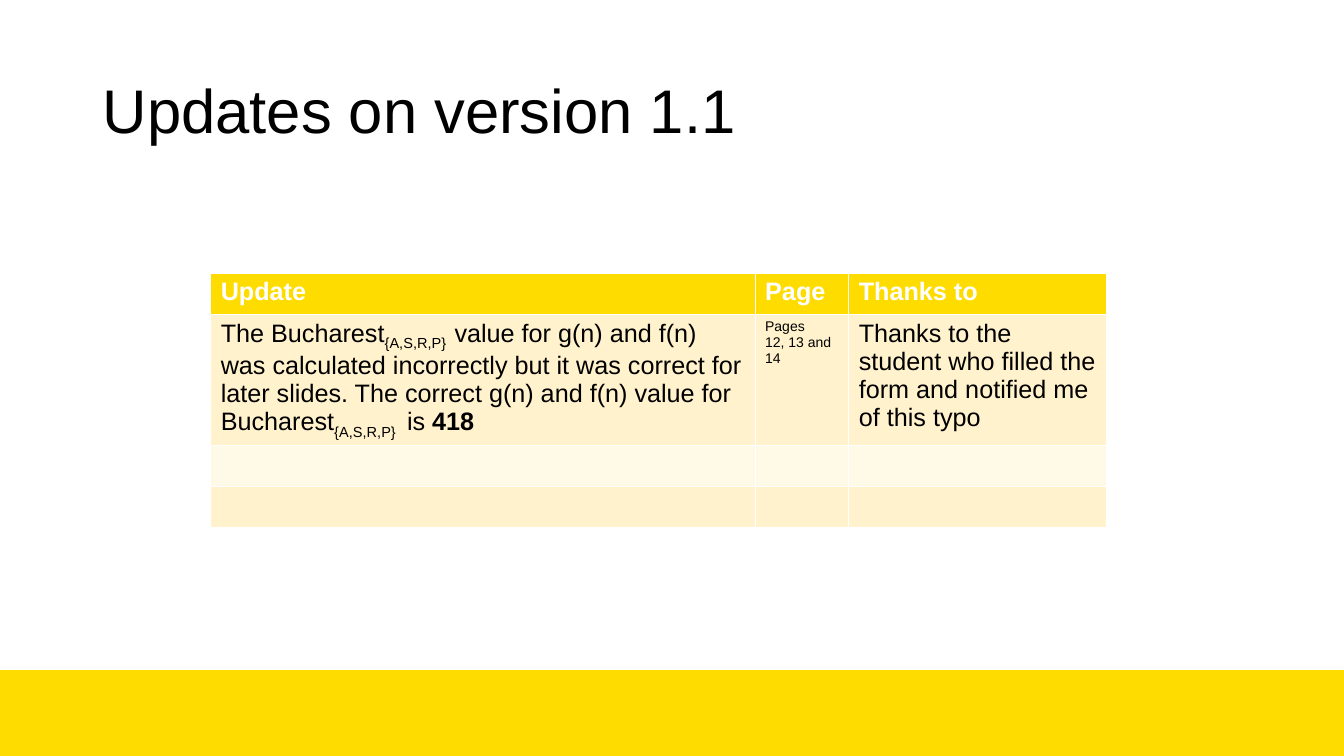
"""Build the slide that lists the updates of version 1.1."""
from dataclasses import dataclass

from pptx import Presentation
from pptx.dml.color import RGBColor
from pptx.enum.shapes import MSO_SHAPE
from pptx.enum.text import MSO_ANCHOR
from pptx.util import Cm, Pt

RECT = MSO_SHAPE.RECTANGLE
MIDDLE = MSO_ANCHOR.MIDDLE
PLAIN, SUB, BOLD, BREAK = range(4)

TITLE = "Updates on version 1.1"
HEADS = ["Update", "Page", "Thanks to"]
UPDATE = [
    ("The Bucharest", PLAIN),
    ("{A,S,R,P}  ", SUB),
    ("value for g(n) and f(n) was calculated incorrectly but it was correct "
     "for later slides. The correct g(n) and f(n) value for Bucharest", PLAIN),
    ("{A,S,R,P} ", SUB),
    (" is ", PLAIN),
    ("418", BOLD),
]
PAGES = [("Pages ", PLAIN), ("", BREAK), ("12, 13 and 14", PLAIN)]
THANKS = [("Thanks to the student who filled the form and notified me of this typo",
           PLAIN)]
ROWS = [
    [[(head, BOLD)] for head in HEADS],
    [UPDATE, PAGES, THANKS],
    [[], [], []],
    [[], [], []],
]
WIDTHS = [13.72, 2.36, 6.5]
HEIGHTS = [1.04, 3.28, 1.04, 1.04]


@dataclass(frozen=True)
class Theme:
    """Hold the colours, font and type sizes."""
    yellow: RGBColor = RGBColor(0xFF, 0xDC, 0x00)
    cream: RGBColor = RGBColor(0xFF, 0xF2, 0xCC)
    pale: RGBColor = RGBColor(0xFF, 0xF9, 0xE7)
    white: RGBColor = RGBColor(0xFF, 0xFF, 0xFF)
    black: RGBColor = RGBColor(0, 0, 0)
    face: str = "Arial"
    title: Pt = Pt(44)
    body: Pt = Pt(18)
    small: Pt = Pt(10)


THEME = Theme()


def set_font(font, size, color):
    """Set face, size and colour of a font."""
    font.name, font.size = THEME.face, size
    font.color.rgb = color


def add_title(slide):
    """Place and fill the title."""
    title = slide.shapes.title
    title.left, title.top = Cm(2.33), Cm(1.01)
    title.width, title.height = Cm(29.21), Cm(3.68)
    frame = title.text_frame
    frame.text, frame.vertical_anchor = TITLE, MIDDLE
    line = frame.paragraphs[0]
    line.alignment, line.line_spacing = 1, 0.9
    set_font(line.font, THEME.title, THEME.black)


def add_band(slide, width, height):
    """Draw the yellow band along the foot."""
    deep = Cm(2.16)
    band = slide.shapes.add_shape(RECT, 0, height - deep, width, deep)
    band.shadow.inherit = False
    band.fill.solid()
    band.fill.fore_color.rgb = THEME.yellow
    band.line.fill.background()


def fill_cell(cell, parts, size, color, back):
    """Colour a cell and write its runs."""
    cell.fill.solid()
    cell.fill.fore_color.rgb = back
    line = cell.text_frame.paragraphs[0]
    set_font(line.font, size, color)
    for text, kind in parts:
        if kind == BREAK:
            line.add_line_break()
            continue
        run = line.add_run()
        run.text = text
        set_font(run.font, size, color)
        run.font.bold = kind == BOLD
        if kind == SUB:
            run.font._element.set("baseline", "-25000")


def add_updates(slide):
    """Add the table of updates."""
    table = slide.shapes.add_table(
        len(ROWS), len(WIDTHS), Cm(5.31), Cm(6.88),
        Cm(sum(WIDTHS)), Cm(sum(HEIGHTS))).table
    for col, width in zip(table.columns, WIDTHS):
        col.width = Cm(width)
    for row, height in zip(table.rows, HEIGHTS):
        row.height = Cm(height)
    for r, row in enumerate(ROWS):
        back = THEME.cream if r % 2 else THEME.pale
        color = THEME.black
        if r == 0:
            back, color = THEME.yellow, THEME.white
        for c, parts in enumerate(row):
            size = THEME.small if parts is PAGES else THEME.body
            fill_cell(table.cell(r, c), parts, size, color, back)


def main():
    """Build and save the deck."""
    deck = Presentation()
    deck.slide_width, deck.slide_height = Cm(33.87), Cm(19.05)
    slide = deck.slides.add_slide(deck.slide_layouts[5])
    add_band(slide, deck.slide_width, deck.slide_height)
    add_title(slide)
    add_updates(slide)
    deck.save("out.pptx")


if __name__ == "__main__":
    main()
